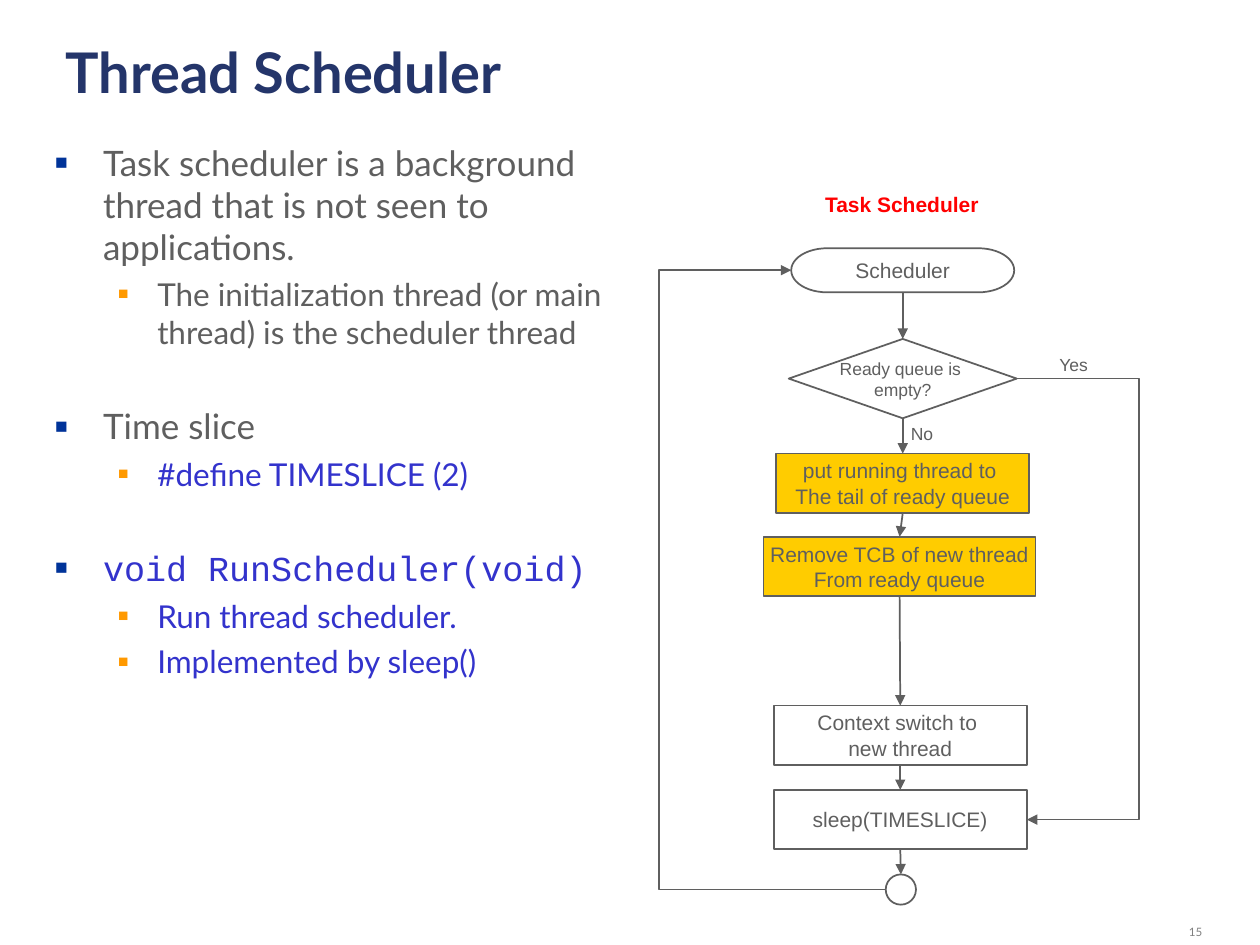
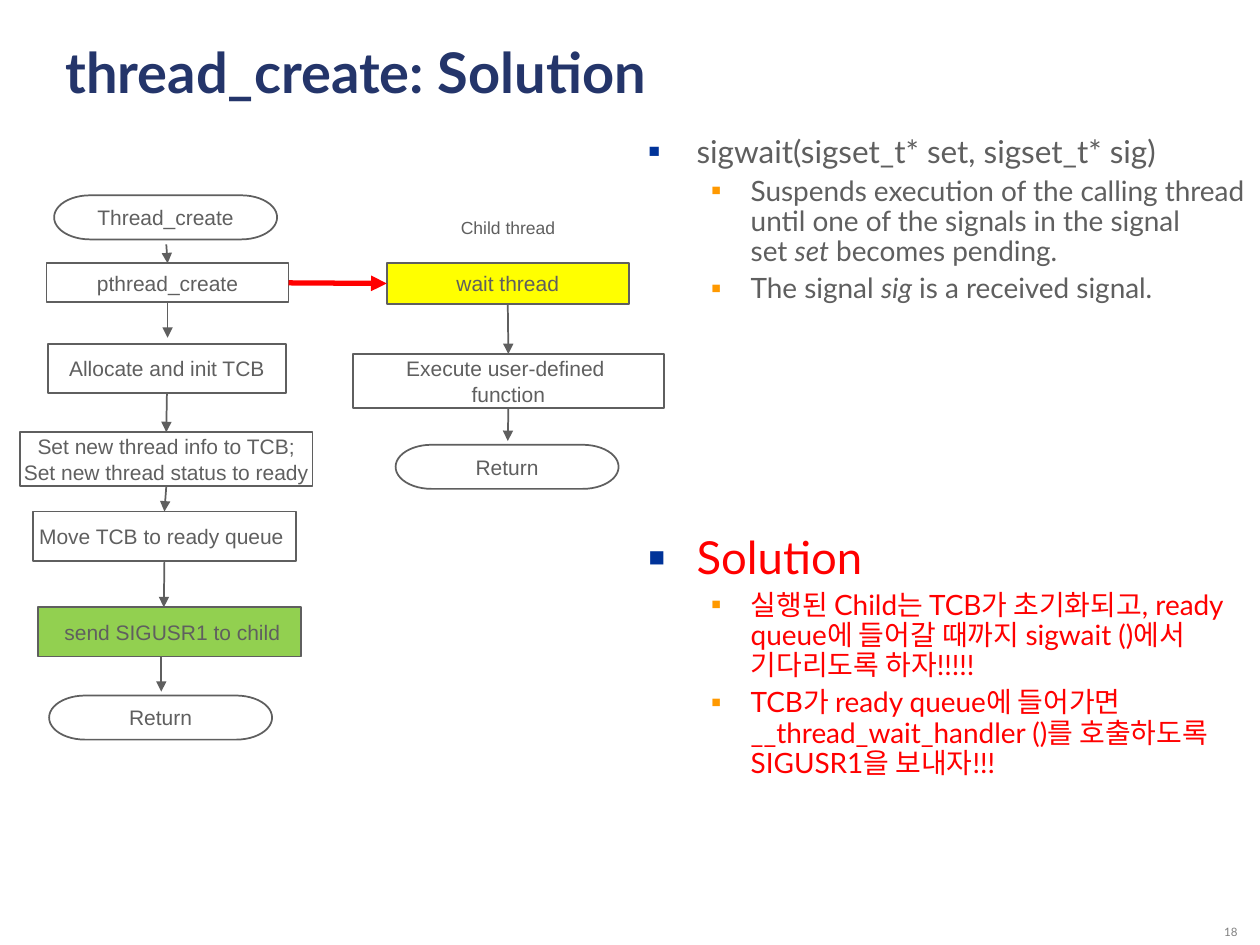
from lxml import etree
from pptx import Presentation
from pptx.dml.color import RGBColor
from pptx.enum import shapes, text
from pptx.oxml import ns
from pptx.util import Inches, Pt

GRAY, NAVY, BLUE, RED = "5F5F5F", "24356A", "3333CC", "FF0000"
WHITE, GOLD, YELLOW, GREEN = "FFFFFF", "FFCC00", "FFFF00", "92D050"
PAGE_GRAY = "808080"
BODY, DIAGRAM, CODE = "Lato", "Arial", "Courier New"
NBSP = chr(160)
# Per level: left margin, hanging indent, bullet colour, bullet size
LEVELS = [(0.38, -0.38, "003399", 60), (0.81, -0.31, "FF9900", 55)]
TOP, LEFT, BOTTOM, RIGHT = range(4)
RECT = shapes.MSO_SHAPE.RECTANGLE
TERMINATOR = shapes.MSO_SHAPE.FLOWCHART_TERMINATOR
DECISION = shapes.MSO_SHAPE.FLOWCHART_DECISION
CIRCLE = shapes.MSO_SHAPE.OVAL


def rgb(value):
    return RGBColor.from_string(value)


def add_xml(parent, tag, **attributes):
    return etree.SubElement(parent, ns.qn(tag), attributes)


def set_font(font, size, color, name, bold=False):
    font.size, font.name, font.bold = Pt(size), name, bold
    font.color.rgb = rgb(color)


def fill_text(tf, content, size, color, name, align, bold=False):
    """Write one paragraph for each line of content."""
    for i, line in enumerate(content.split("\n")):
        p = tf.add_paragraph() if i else tf.paragraphs[0]
        p.alignment = align
        p.add_run().text = line
        set_font(p.font, size, color, name, bold)


def textbox(s, box, wrap=True):
    tf = s.shapes.add_textbox(*map(Inches, box)).text_frame
    tf.word_wrap = wrap
    return tf


def label(s, box, content, size=10, color=GRAY, bold=False):
    tf = textbox(s, box, wrap=False)
    fill_text(tf, content, size, color, DIAGRAM, text.PP_ALIGN.LEFT, bold)


def add_slide(prs, title, number, number_left):
    s = prs.slides.add_slide(prs.slide_layouts[6])
    fill_text(textbox(s, (0.42, 0.25, 9.03, 1.22)), title, 32, NAVY, BODY,
              text.PP_ALIGN.LEFT, bold=True)
    tf = textbox(s, (number_left, 7.25, 1, 0.25))
    tf.vertical_anchor = text.MSO_ANCHOR.BOTTOM
    fill_text(tf, number, 6.6, PAGE_GRAY, BODY, text.PP_ALIGN.RIGHT)
    tf.paragraphs[0].line_spacing = 0.8
    return s


def bullets(s, box, items, line_spacing=1.0):
    """Items hold level, text, size, colour, font and space before; |bars| set italics."""
    tf = textbox(s, box)
    for i, (level, content, size, color, name, before) in enumerate(items):
        p = tf.add_paragraph() if i else tf.paragraphs[0]
        p.level, p.line_spacing, p.space_before = level, line_spacing, Pt(before)
        margin, indent, bullet_color, bullet_size = LEVELS[level]
        pPr = p._p.get_or_add_pPr()
        pPr.set("marL", str(Inches(margin)))
        pPr.set("indent", str(Inches(indent)))
        add_xml(add_xml(pPr, "a:buClr"), "a:srgbClr", val=bullet_color)
        add_xml(pPr, "a:buSzPct", val=str(bullet_size * 1000))
        add_xml(pPr, "a:buFont", typeface=DIAGRAM)
        add_xml(pPr, "a:buChar", char="■")
        set_font(p.font, size, color, name)
        for j, part in enumerate(content.split("|")):
            r = p.add_run()
            r.text = part
            if j % 2:
                r.font.italic = True


def node(s, kind, box, content="", fill=WHITE, size=12):
    sp = s.shapes.add_shape(kind, *map(Inches, box))
    sp.shadow.inherit = False
    sp.fill.solid()
    sp.fill.fore_color.rgb = rgb(fill)
    sp.line.color.rgb = rgb(GRAY)
    sp.line.width = Pt(1)
    if content:
        tf = sp.text_frame
        tf.word_wrap = False
        tf.vertical_anchor = text.MSO_ANCHOR.MIDDLE
        fill_text(tf, content, size, GRAY, DIAGRAM, text.PP_ALIGN.CENTER)
    return sp


def locate(end):
    """Return the point of an end given as (x, y) or as (shape, side)."""
    sp, side = end
    if isinstance(sp, (int, float)):
        return Inches(sp), Inches(side)
    across = {LEFT: 0, RIGHT: sp.width}.get(side, sp.width // 2)
    down = {TOP: 0, BOTTOM: sp.height}.get(side, sp.height // 2)
    return sp.left + across, sp.top + down


def arrow(s, start, end, color=GRAY, width=1, via_x=None):
    """Join two ends; via_x places the upright part of an elbow."""
    (x1, y1), (x2, y2) = locate(start), locate(end)
    kind = shapes.MSO_CONNECTOR.STRAIGHT if via_x is None else shapes.MSO_CONNECTOR.ELBOW
    line = s.shapes.add_connector(kind, x1, y1, x2, y2)
    if via_x is not None:
        ratio = (Inches(via_x) - x1) / (x2 - x1)
        guides = line._element.spPr.find(ns.qn("a:prstGeom")).get_or_add_avLst()
        add_xml(guides, "a:gd", name="adj1", fmla=f"val {round(ratio * 100000)}")
    else:
        for join, (sp, side) in ((line.begin_connect, start), (line.end_connect, end)):
            if not isinstance(sp, (int, float)):
                join(sp, side)
    line.line.color.rgb = rgb(color)
    line.line.width = Pt(width)
    add_xml(line.line._get_or_add_ln(), "a:tailEnd", type="triangle")
    add_xml(line._element.spPr, "a:effectLst")


def chain(s, *nodes):
    """Join each node's bottom to the next one's top."""
    for upper, lower in zip(nodes, nodes[1:]):
        arrow(s, (upper, BOTTOM), (lower, TOP))


def scheduler_slide(prs):
    s = add_slide(prs, "Thread Scheduler", "15", 8.64)
    bullets(s, (0.34, 1.07, 4.94, 5.67), [
        (0, "Task scheduler is a background thread that is not seen to applications.",
         20, GRAY, BODY, 5),
        (1, "The initialization thread (or main thread) is the scheduler thread",
         18, GRAY, BODY, 4.5),
        (0, "Time slice", 20, GRAY, BODY, 31),
        (1, "#define TIMESLICE (2)", 18, BLUE, BODY, 4.5),
        (0, "void RunScheduler(void)", 20, BLUE, CODE, 31),
        (1, "Run thread scheduler.", 18, BLUE, BODY, 4.5),
        (1, "Implemented by sleep()", 18, BLUE, BODY, 4.5),
    ])
    label(s, (6.45, 1.47, 1.5, 0.3), "Task Scheduler", 12, RED, bold=True)
    scheduler = node(s, TERMINATOR, (6.28, 1.97, 1.77, 0.35), "Scheduler")
    empty = node(s, DECISION, (6.26, 2.69, 1.81, 0.63), "Ready queue is \nempty?", size=10)
    put = node(s, RECT, (6.16, 3.6, 2.01, 0.47),
               "put running thread to \nThe tail of ready queue", GOLD)
    remove = node(s, RECT, (6.06, 4.26, 2.16, 0.47),
                  "Remove TCB of new thread\nFrom ready queue", GOLD)
    switch = node(s, RECT, (6.14, 5.6, 2.01, 0.47), "Context switch to \nnew thread")
    sleep = node(s, RECT, (6.14, 6.27, 2.01, 0.47), "sleep(TIMESLICE)")
    loop = node(s, CIRCLE, (7.03, 6.94, 0.24, 0.24))
    chain(s, scheduler, empty, put, remove, switch, sleep, loop)
    arrow(s, (empty, RIGHT), (sleep, RIGHT), via_x=9.04)
    arrow(s, (loop, LEFT), (scheduler, LEFT), via_x=5.23)
    label(s, (8.31, 2.76, 0.5, 0.27), "Yes")
    label(s, (7.13, 3.31, 0.45, 0.27), "No")


def solution_slide(prs):
    s = add_slide(prs, "thread_create: Solution", "18", 8.92)
    create = node(s, RECT, (0.37, 2.09, 1.92, 0.31), "pthread_create")
    allocate = node(s, RECT, (0.38, 2.73, 1.89, 0.39), "Allocate and init TCB")
    set_info = node(s, RECT, (0.16, 3.43, 2.32, 0.43),
                    "Set new thread info to TCB;\nSet new thread status to ready")
    move = node(s, RECT, (0.26, 4.06, 2.09, 0.39), "Move TCB to ready queue ")
    node(s, RECT, (0.3, 4.82, 2.09, 0.39), " send SIGUSR1 to child", GREEN)
    wait = node(s, RECT, (3.07, 2.09, 1.92, 0.32), "wait thread", YELLOW)
    execute = node(s, RECT, (2.8, 2.81, 2.47, 0.43), "Execute user-defined \nfunction")
    for left, top, content in ((0.43, 1.55, "Thread_create"), (0.39, 5.52, "Return"),
                               (3.14, 3.53, "Return")):
        node(s, TERMINATOR, (left, top, 1.77, 0.35), content)
    label(s, (3.56, 1.67, 1.05, 0.27), "Child thread")

    arrow(s, (1.32, 1.94), (create, TOP))
    arrow(s, (create, BOTTOM), (1.33, 2.68))
    chain(s, allocate, set_info, move)
    arrow(s, (move, BOTTOM), (1.3, 4.82))
    arrow(s, (1.28, 5.21), (1.28, 5.49))
    chain(s, wait, execute)
    arrow(s, (execute, BOTTOM), (4.03, 3.5))
    arrow(s, (create, RIGHT), (wait, LEFT), RED, 3)

    bullets(s, (5.05, 1.03, 4.95, 5.67), [
        (0, "sigwait(sigset_t* set, sigset_t* sig)", 18, GRAY, BODY, 4.5),
        (1, "Suspends execution of the calling thread until one of the signals "
            f"in the signal set{NBSP}|set|{NBSP}becomes pending.{NBSP}", 16, GRAY, BODY, 4),
        (1, "The signal |sig| is a received signal.", 16, GRAY, BODY, 4),
        (0, "Solution", 26, RED, BODY, 131.5),
        (1, "실행된 Child는 TCB가 초기화되고, ready queue에 들어갈 때까지 "
            "sigwait ()에서 기다리도록 하자!!!!!", 16, RED, BODY, 4),
        (1, "TCB가 ready queue에 들어가면 __thread_wait_handler ()를 호출하도록 "
            "SIGUSR1을 보내자!!!", 16, RED, BODY, 4),
    ], line_spacing=0.9)


def main():
    prs = Presentation()
    prs.slide_width, prs.slide_height = Inches(10), Inches(7.5)
    scheduler_slide(prs)
    solution_slide(prs)
    prs.save("out.pptx")


if __name__ == "__main__":
    main()
